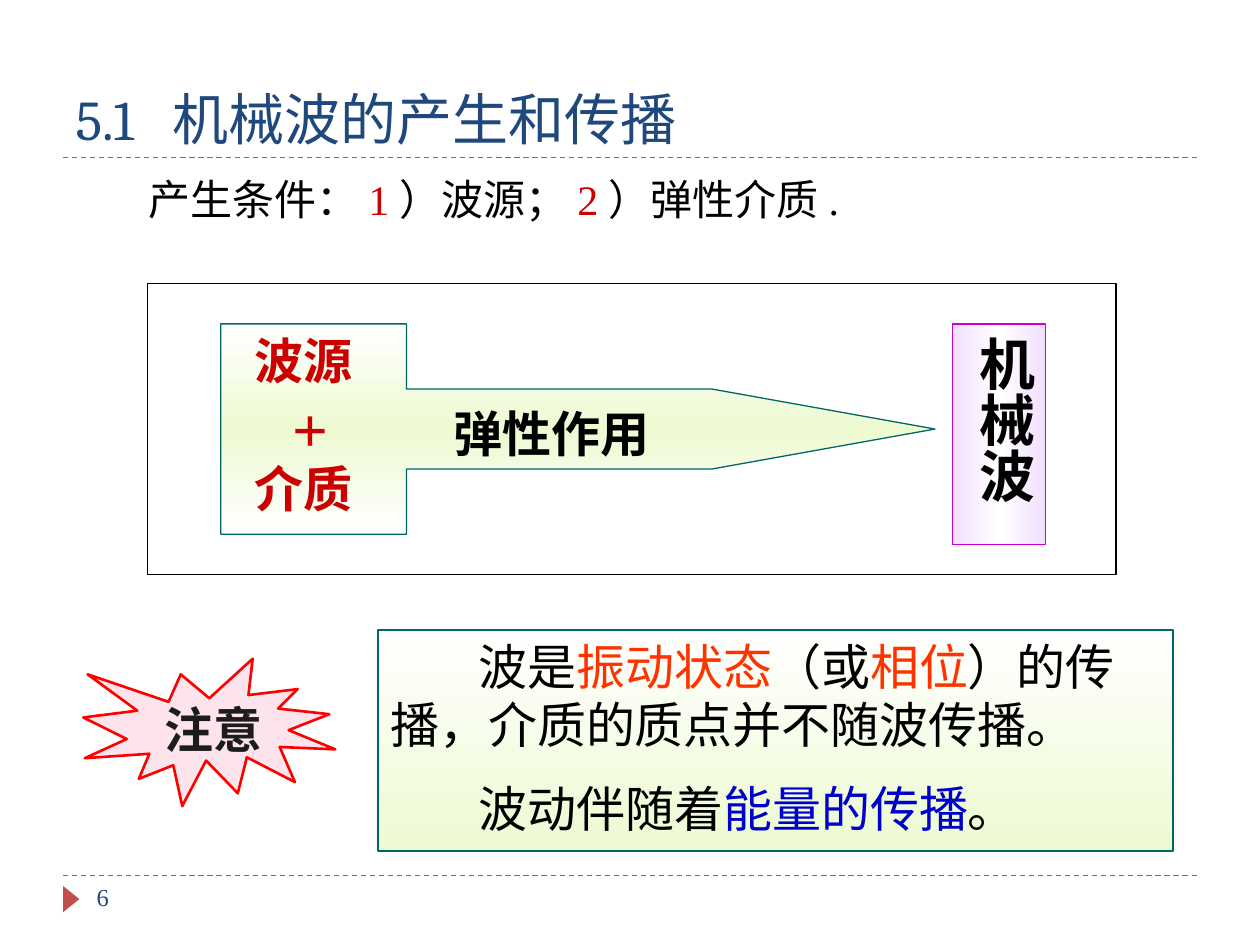
"""Build the slide on how mechanical waves arise and travel."""
from copy import deepcopy
from dataclasses import dataclass

from lxml import etree
from pptx import Presentation
from pptx import util as u
from pptx.dml.color import RGBColor
from pptx.enum import dml, shapes, text
from pptx.oxml import ns


@dataclass(frozen=True)
class Theme:
    navy: str = "1F497D"
    brick: str = "C0504D"
    black: str = "000000"
    white: str = "FFFFFF"
    red: str = "CC0000"
    orange: str = "FF3300"
    blue: str = "0000CC"
    teal: str = "006666"
    lime: str = "EDFAD2"
    lilac: str = "F2DFFD"
    magenta: str = "CC00CC"
    pink: str = "FDE3EC"
    alert: str = "FF0000"
    ink: str = "1C1C1C"
    heading: str = "Cambria"
    body: str = "Times New Roman"
    small: int = 14
    condition: int = 24
    label: int = 28
    large: int = 32
    plus: int = 36


T = Theme()
Cm = u.Cm
rgb = RGBColor.from_string


def write(sp, paragraphs, size, font=T.body, bold=False):
    tf = sp.text_frame
    tf.word_wrap = True
    tf.vertical_anchor = text.MSO_ANCHOR.TOP
    for i, runs in enumerate(paragraphs):
        p = tf.add_paragraph() if i else tf.paragraphs[0]
        p.alignment = text.PP_ALIGN.LEFT
        p.space_before = u.Pt(size / 2 if i else 0)
        for words, color in runs:
            r = p.add_run()
            r.text = words
            r.font.name, r.font.size, r.font.bold = font, u.Pt(size), bold
            r.font.color.rgb = rgb(color)
    return tf


def draw(kind, box, colors, line=None, width=0.75, angle=0):
    sp = s.shapes.add_shape(kind, *map(Cm, box))
    sp.shadow.inherit = False
    if len(colors) == 1:
        sp.fill.solid()
        sp.fill.fore_color.rgb = rgb(colors[0])
    else:
        sp.fill.gradient()
        sp.fill.gradient_angle = angle
        stops = sp._element.spPr.find(".//" + ns.qn("a:gsLst"))
        while len(stops) < len(colors):
            stops.append(deepcopy(stops[0]))
        for i, stop in enumerate(sp.fill.gradient_stops):
            stop.color.rgb = rgb(colors[i])
            stop.position = i / (len(colors) - 1)
    if line:
        sp.line.color.rgb = rgb(line)
        sp.line.width = u.Pt(width)
    else:
        sp.line.fill.background()
    return sp


prs = Presentation()
prs.slide_width, prs.slide_height = Cm(25.4), Cm(19.05)
s = prs.slides.add_slide(prs.slide_layouts[5])
kinds = shapes.MSO_SHAPE

title = s.shapes.title
title.left, title.top, title.width, title.height = map(Cm, (1.27, 0.64, 22.86, 2.54))
tf = write(title, [[("5.1  机械波的产生和传播", T.navy)]], T.large, T.heading)
tf.vertical_anchor = text.MSO_ANCHOR.BOTTOM

for y in (3.18, 17.65):
    rule = s.shapes.add_connector(
        shapes.MSO_CONNECTOR.STRAIGHT, Cm(1.27), Cm(y), Cm(24.13), Cm(y))
    rule.line.color.rgb = rgb(T.brick)
    rule.line.width = u.Pt(0.75)
    rule.line.dash_style = dml.MSO_LINE.DASH
    etree.SubElement(rule._element.spPr, ns.qn("a:effectLst"))

marker = draw(kinds.ISOSCELES_TRIANGLE, (1.17, 17.96, 0.53, 0.33), [T.brick])
marker.rotation = 90

draw(kinds.RECTANGLE, (2.97, 5.72, 19.53, 5.87), [T.white], T.black)
callout = draw(kinds.RIGHT_ARROW_CALLOUT, (4.45, 6.53, 14.4, 4.24),
               [T.white, T.lime, T.white], T.teal, angle=270)
for i, value in enumerate((0.39, 0.19, 1.06, 0.26)):
    callout.adjustments[i] = value

wave = draw(kinds.RECTANGLE, (19.2, 6.53, 1.88, 4.45),
            [T.lilac, T.white, T.lilac], T.magenta)
tf = write(wave, [[("机械波", T.black)]], T.large, bold=True)
tf.paragraphs[0].alignment = text.PP_ALIGN.CENTER
tf.margin_bottom = Cm(0.64)
tf._txBody.bodyPr.set("vert", "eaVert")

remark = draw(kinds.RECTANGLE, (7.62, 12.7, 16.03, 4.45),
              [T.white, T.lime], T.teal, 1, 270)
tf = write(remark, [
    [("波是", T.black), ("振动状态", T.orange), ("（或", T.black),
     ("相位", T.orange), ("）的传播，介质的质点并不随波传播。", T.black)],
    [("波动伴随着", T.black), ("能量的传播", T.blue), ("。", T.black)],
], T.label)
for p in tf.paragraphs:
    p._p.get_or_add_pPr().set("indent", str(Cm(1.78)))

draw(kinds.EXPLOSION1, (1.68, 13.28, 5.08, 2.97), [T.pink], T.alert, 1.5)

labels = [
    ((1.7, 17.65, 5.51, 1.02), [("6", T.navy)], T.small, False),
    ((2.74, 3.38, 17.42, 1.27),
     [("产生条件：", T.black), ("1", T.red), ("）波源；", T.black),
      ("2", T.red), ("）弹性介质.", T.black)], T.condition, False),
    ((4.88, 6.53, 3.81, 1.45), [("波源", T.red)], T.label, True),
    ((5.64, 7.72, 1.27, 1.78), [("+", T.red)], T.plus, True),
    ((4.88, 9.12, 3.81, 1.45), [("介质", T.red)], T.label, True),
    ((8.89, 8, 6.35, 1.45), [("弹性作用", T.black)], T.label, True),
    ((3.07, 13.97, 3.18, 1.45), [("注意", T.ink)], T.label, True),
]
for box, runs, size, bold in labels:
    write(s.shapes.add_textbox(*map(Cm, box)), [runs], size, bold=bold)

prs.save("out.pptx")
